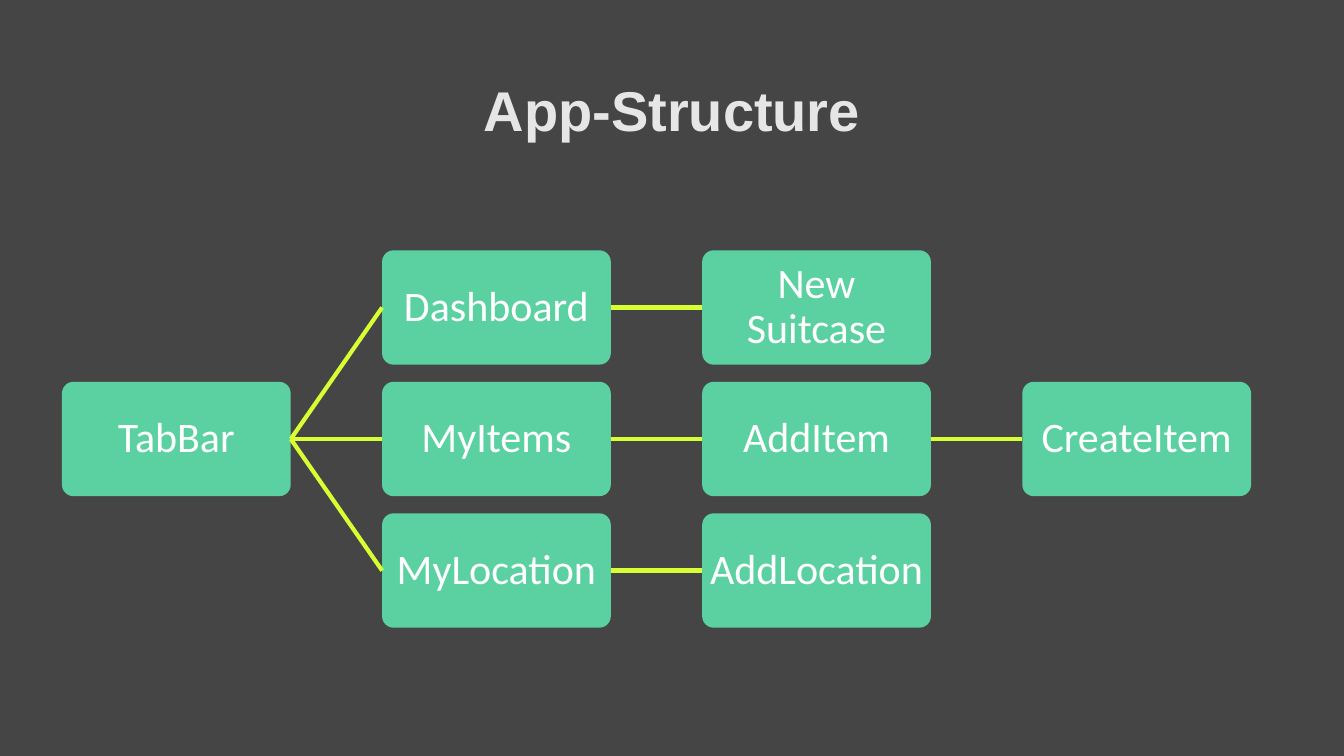
from lxml.etree import SubElement
from pptx import Presentation
from pptx.dml.color import RGBColor
from pptx.enum.shapes import MSO_CONNECTOR as CONN, MSO_SHAPE as SHAPE
from pptx.enum.text import MSO_ANCHOR as ANCHOR, PP_ALIGN as ALIGN
from pptx.oxml.ns import qn
from pptx.util import Pt

TITLE = "App-Structure"
SCREENS = {
    "TabBar": (0, 1),
    "Dashboard": (1, 0),
    "New Suitcase": (2, 0),
    "MyItems": (1, 1),
    "AddItem": (2, 1),
    "CreateItem": (3, 1),
    "MyLocation": (1, 2),
    "AddLocation": (2, 2),
}
LINKS = [
    ("TabBar", "Dashboard"),
    ("TabBar", "MyItems"),
    ("TabBar", "MyLocation"),
    ("Dashboard", "New Suitcase"),
    ("MyItems", "AddItem"),
    ("AddItem", "CreateItem"),
    ("MyLocation", "AddLocation"),
]

DARK = RGBColor(0x45, 0x45, 0x45)
LIGHT = RGBColor(0xE7, 0xE6, 0xE6)
GREEN = RGBColor(0x5B, 0xD1, 0xA1)
LIME = RGBColor(0xD8, 0xFF, 0x33)
WHITE = RGBColor(0xFF, 0xFF, 0xFF)

LEFT, TOP = 44.3, 178.8
BOX_W, BOX_H = 163.4, 81.7
COL_STEP, ROW_STEP = 228.65, 93.95
INSET = 1.5
LEFT_SITE, RIGHT_SITE = 1, 3


def write(tf, text, font, size, color, bold=False):
    tf.word_wrap = True
    tf.vertical_anchor = ANCHOR.MIDDLE
    p = tf.paragraphs[0]
    p.alignment = ALIGN.CENTER
    p.line_spacing = 0.9
    r = p.add_run()
    r.text = text
    r.font.name = font
    r.font.size = Pt(size)
    r.font.bold = bold
    r.font.color.rgb = color


def add_screen(s, name, col, row):
    box = s.shapes.add_shape(
        SHAPE.ROUNDED_RECTANGLE,
        Pt(LEFT + col * COL_STEP), Pt(TOP + row * ROW_STEP), Pt(BOX_W), Pt(BOX_H))
    box.adjustments[0] = 0.1
    box.shadow.inherit = False
    box.fill.solid()
    box.fill.fore_color.rgb = GREEN
    box.line.fill.background()
    tf = box.text_frame
    tf.margin_left = tf.margin_right = tf.margin_top = tf.margin_bottom = Pt(INSET)
    write(tf, name, "Calibri", 30, WHITE)
    return box


def add_link(s, start, end):
    link = s.shapes.add_connector(CONN.STRAIGHT, 0, 0, 0, 0)
    link.begin_connect(start, RIGHT_SITE)
    link.end_connect(end, LEFT_SITE)
    link.line.color.rgb = LIME
    link.line.width = Pt(3)
    SubElement(link._element.spPr, qn("a:effectLst"))


def main():
    prs = Presentation()
    prs.slide_width, prs.slide_height = Pt(960), Pt(540)
    s = prs.slides.add_slide(prs.slide_layouts[5])
    s.background.fill.solid()
    s.background.fill.fore_color.rgb = DARK

    title = s.shapes.title
    title.left, title.top, title.width, title.height = Pt(66), Pt(28.75), Pt(828), Pt(104.4)
    write(title.text_frame, TITLE, "Arial", 40, LIGHT, bold=True)

    boxes = {name: add_screen(s, name, *cell) for name, cell in SCREENS.items()}
    for start, end in LINKS:
        add_link(s, boxes[start], boxes[end])

    prs.save("out.pptx")


if __name__ == "__main__":
    main()
